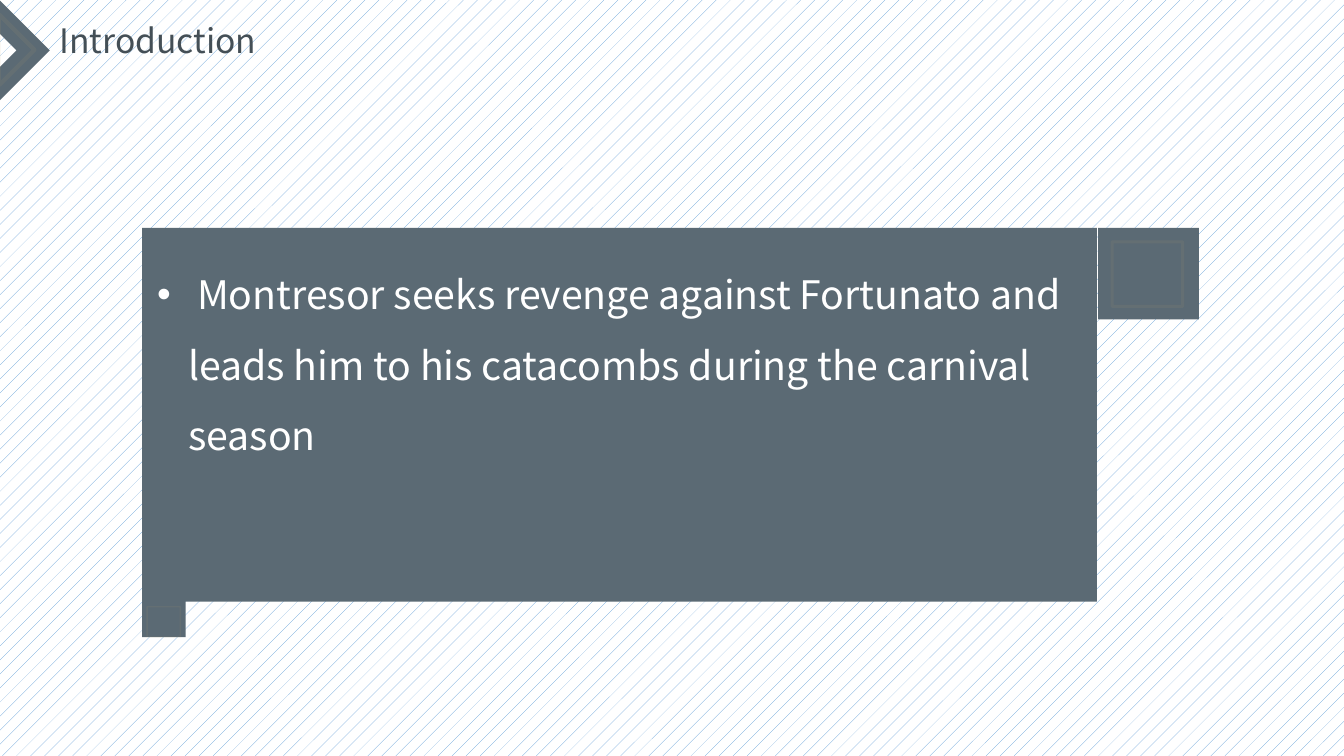
import dataclasses
import typing

import lxml.etree
import pptx
import pptx.dml.color
import pptx.enum.dml
import pptx.enum.shapes
import pptx.enum.text
import pptx.oxml.ns
import pptx.util

SLATE = pptx.dml.color.RGBColor(0x5B, 0x6A, 0x74)
DARK_SLATE = pptx.dml.color.RGBColor(0x44, 0x4F, 0x56)
GOLD = pptx.dml.color.RGBColor(0xD7, 0xB2, 0x6C)
BLUE = pptx.dml.color.RGBColor(0x5B, 0x9B, 0xD5)
WHITE = pptx.dml.color.RGBColor(0xFF, 0xFF, 0xFF)

FONT_NAME = "Noto Sans CJK SC"
SLIDE_WIDTH = pptx.util.Inches(13.33)
SLIDE_HEIGHT = pptx.util.Inches(7.5)
GOLD_OPACITY = 0.08
RECTANGLE = pptx.enum.shapes.MSO_SHAPE.RECTANGLE
HALF_FRAME = pptx.enum.shapes.MSO_SHAPE.HALF_FRAME


@dataclasses.dataclass(frozen=True)
class Area:
    """A place on the slide, in percent of its width and height."""

    left: float
    top: float
    width: float
    height: float

    def lengths(self) -> tuple[int, int, int, int]:
        return (across(self.left), down(self.top), across(self.width), down(self.height))


@dataclasses.dataclass(frozen=True)
class Block:
    area: Area
    kind: typing.Any = RECTANGLE
    rotation: float = 0


@dataclasses.dataclass(frozen=True)
class GoldFrame:
    area: Area
    line_width: float


@dataclasses.dataclass(frozen=True)
class Caption:
    area: Area
    text: str
    size: float
    color: pptx.dml.color.RGBColor
    auto_size: typing.Any
    bulleted: bool = False


CHEVRON = Block(Area(-2.63, 2, 5.25, 9.33), HALF_FRAME, 135)
CHEVRON_LINING = [(-1.88, 3.33), (1.8, 3.33), (1.8, 9.87), (1.73, 9.87), (-1.88, 3.47)]
TITLE = Caption(
    Area(3.68, 2, 20.48, 6.67), "Introduction", 24, DARK_SLATE,
    pptx.enum.text.MSO_AUTO_SIZE.SHAPE_TO_FIT_TEXT,
)
PANEL = Block(Area(10.58, 30.13, 71.04, 49.47))
SUMMARY = Caption(
    Area(10.95, 32, 68.94, 33.73),
    " Montresor seeks revenge against Fortunato and leads him to his catacombs"
    " during the carnival season",
    28, WHITE, pptx.enum.text.MSO_AUTO_SIZE.NONE, bulleted=True,
)
CORNERS = [Block(Area(81.7, 30.13, 7.5, 12.13)), Block(Area(10.58, 78.67, 3.23, 5.6))]
GOLD_FRAMES = [
    GoldFrame(Area(82.75, 32, 5.25, 8.53), 2.25),
    GoldFrame(Area(10.95, 80.27, 2.48, 4), 1),
]


def across(percent: float) -> int:
    return round(SLIDE_WIDTH * percent / 100)


def down(percent: float) -> int:
    return round(SLIDE_HEIGHT * percent / 100)


def apply_format(target: typing.Any, values: dict[str, typing.Any]) -> None:
    for name, value in values.items():
        setattr(target, name, value)


def outline_in_gold(shape: typing.Any, line_width: float) -> None:
    """Leave the shape hollow, with a faint gold line."""
    shape.shadow.inherit = False
    shape.fill.background()
    shape.line.color.rgb = GOLD
    shape.line.width = pptx.util.Pt(line_width)
    color = shape.line._ln.find(".//" + pptx.oxml.ns.qn("a:srgbClr"))
    alpha = lxml.etree.SubElement(color, pptx.oxml.ns.qn("a:alpha"))
    alpha.set("val", str(round(GOLD_OPACITY * 100000)))


def add_block(slide: typing.Any, block: Block) -> None:
    shape = slide.shapes.add_shape(block.kind, *block.area.lengths())
    shape.shadow.inherit = False
    shape.rotation = block.rotation
    shape.fill.solid()
    shape.fill.fore_color.rgb = SLATE
    shape.line.fill.background()


def add_gold_frame(slide: typing.Any, frame: GoldFrame) -> None:
    shape = slide.shapes.add_shape(RECTANGLE, *frame.area.lengths())
    outline_in_gold(shape, frame.line_width)


def add_chevron_lining(slide: typing.Any) -> None:
    start, *others = [(across(x), down(y)) for x, y in CHEVRON_LINING]
    builder = slide.shapes.build_freeform(*start)
    builder.add_line_segments(others, close=True)
    shape = builder.convert_to_shape()
    shape.rotation = 45
    outline_in_gold(shape, 3)


def add_bullet(paragraph: typing.Any) -> None:
    properties = paragraph._p.get_or_add_pPr()
    indent = pptx.util.Inches(0.31)
    properties.set("marL", str(indent))
    properties.set("indent", str(-indent))
    font = lxml.etree.SubElement(properties, pptx.oxml.ns.qn("a:buFont"))
    font.set("typeface", "Arial")
    bullet = lxml.etree.SubElement(properties, pptx.oxml.ns.qn("a:buChar"))
    bullet.set("char", "•")


def add_caption(slide: typing.Any, caption: Caption) -> None:
    frame = slide.shapes.add_textbox(*caption.area.lengths()).text_frame
    apply_format(frame, {"word_wrap": True, "auto_size": caption.auto_size})
    paragraph = frame.paragraphs[0]
    if caption.bulleted:
        paragraph.line_spacing = 1.5
        add_bullet(paragraph)
    run = paragraph.add_run()
    run.text = caption.text
    apply_format(run.font, {"name": FONT_NAME, "size": pptx.util.Pt(caption.size)})
    run.font.color.rgb = caption.color
    east_asian = lxml.etree.SubElement(run._r.rPr, pptx.oxml.ns.qn("a:ea"))
    east_asian.set("typeface", FONT_NAME)


def add_dotted_background(slide: typing.Any) -> None:
    fill = slide.background.fill
    fill.patterned()
    fill.pattern = pptx.enum.dml.MSO_PATTERN.PERCENT_5
    fill.fore_color.rgb = BLUE
    fill.back_color.rgb = WHITE


def main() -> None:
    presentation = pptx.Presentation()
    apply_format(presentation, {"slide_width": SLIDE_WIDTH, "slide_height": SLIDE_HEIGHT})
    slide = presentation.slides.add_slide(presentation.slide_layouts[6])
    add_dotted_background(slide)
    add_block(slide, CHEVRON)
    add_chevron_lining(slide)
    add_caption(slide, TITLE)
    add_block(slide, PANEL)
    add_caption(slide, SUMMARY)
    for corner in CORNERS:
        add_block(slide, corner)
    for gold_frame in GOLD_FRAMES:
        add_gold_frame(slide, gold_frame)
    presentation.save("out.pptx")


if __name__ == "__main__":
    main()
